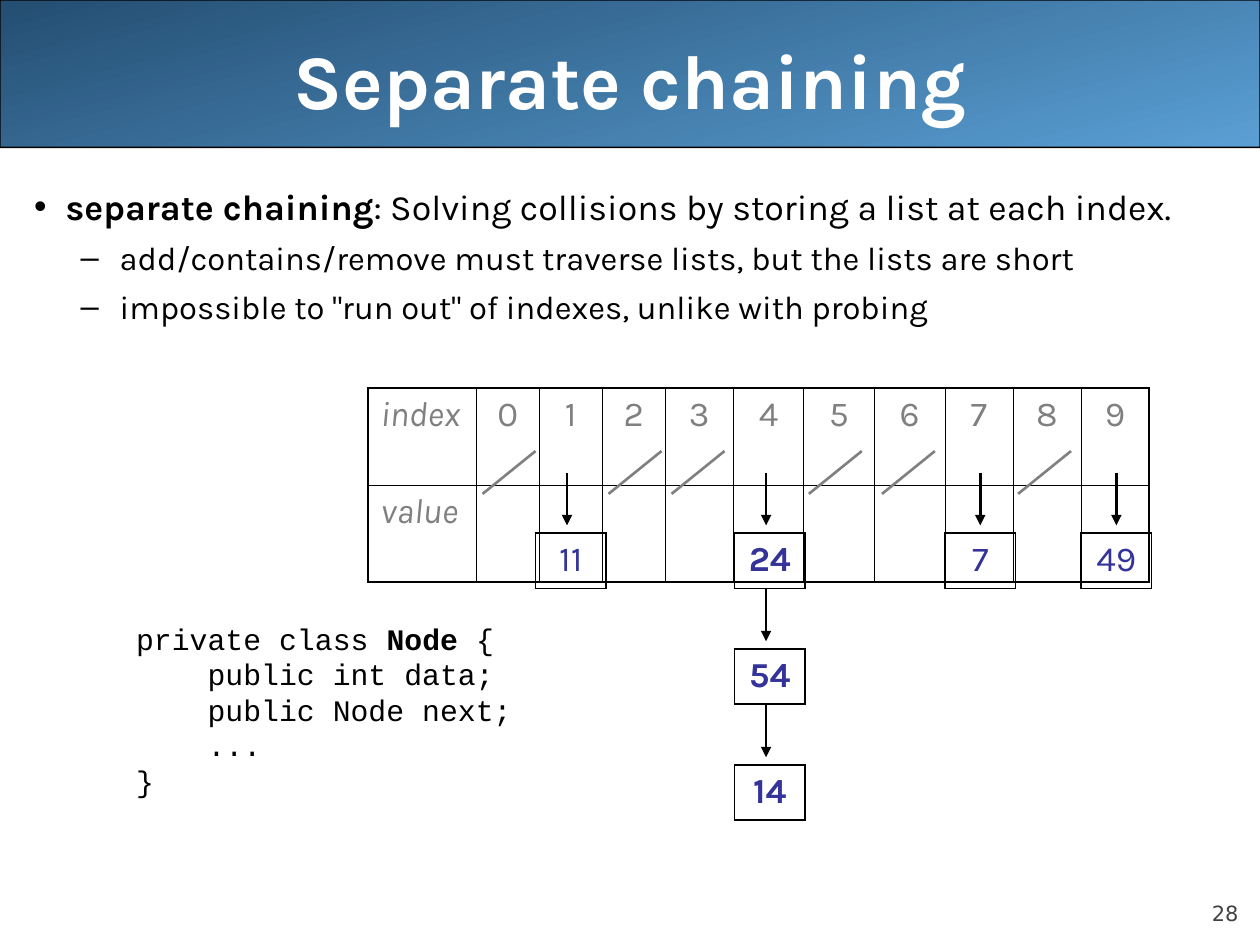
"""Build the slide on separate chaining in hash tables."""
from dataclasses import dataclass

import lxml.etree
import pptx
import pptx.dml.color
import pptx.enum.shapes
import pptx.enum.text
import pptx.oxml.ns
import pptx.util

Inches, Pt = pptx.util.Inches, pptx.util.Pt
Align, Anchor = pptx.enum.text.PP_ALIGN, pptx.enum.text.MSO_ANCHOR
Shape = pptx.enum.shapes.MSO_SHAPE
BLACK, GRAY, NAVY = "000000", "808080", "333399"
THIN, THICK = 0.45, 1.08


@dataclass
class Run:
    text: str
    bold: bool = False


@dataclass
class Item:
    runs: list[Run]
    level: int
    before: float


@dataclass
class Style:
    size: float
    left: float
    hang: float
    mark: str = ""
    face: str = "Karla"
    lead: float = 1.0


@dataclass
class Node:
    value: str
    left: float
    top: float
    shaft: float
    bold: bool = False


STYLES = [
    Style(20.4, 0.25, -0.25, "•"),
    Style(18.7, 0.68, -0.31, "–"),
    Style(17, 1, -0.19, face="Courier New", lead=0.7),
]
ITEMS = [
    Item([Run("separate chaining", True),
          Run(": Solving collisions by storing a list at each index.")], 0, 0),
    Item([Run("add/contains/remove must traverse lists, but the lists are short")], 1, 5.5),
    Item([Run('impossible to "run out" of indexes, unlike with probing')], 1, 5.5),
    Item([Run("private class "), Run("Node", True), Run(" {")], 2, 174),
    Item([Run("    public int data;")], 2, 6),
    Item([Run("    public Node next;")], 2, 6),
    Item([Run("    ...")], 2, 6),
    Item([Run("}")], 2, 6),
]
TOP, STEP = 4.23, 0.92
NODES = [
    Node("11", 4.25, TOP, 4.5),
    *(Node(text, 5.83, TOP + STEP * i, 6.08, True) for i, text in enumerate(["24", "54", "14"])),
    Node("7", 7.5, TOP, 7.78),
    Node("49", 8.58, TOP, 8.86),
]
WIDTHS = [0.86] + [0.5] * 3 + [0.54] + [0.56] * 3 + [0.54] * 3
SLASHES = [3.83, 4.83, 5.33, 6.42, 7, 8.08]


def paint(code: str) -> pptx.dml.color.RGBColor:
    return pptx.dml.color.RGBColor.from_string(code)


def child(parent, tag: str, **attrs: str):
    return lxml.etree.SubElement(parent, pptx.oxml.ns.qn(tag), attrs)


def write(para, text: str, size: float, color: str, face: str = "Karla",
          bold: bool = False, italic: bool = False) -> None:
    run = para.add_run()
    run.text = text
    font = run.font
    font.size, font.name, font.bold, font.italic = Pt(size), face, bold, italic
    font.color.rgb = paint(color)


def place(shape, left: float, top: float, width: float, height: float) -> None:
    shape.left, shape.top = Inches(left), Inches(top)
    shape.width, shape.height = Inches(width), Inches(height)


def add_band(slide) -> None:
    band = slide.shapes.add_shape(Shape.ROUNDED_RECTANGLE, 0, 0, Inches(10), Inches(1.17))
    band.adjustments[0] = 0.001
    band.shadow.inherit = False
    band.fill.gradient()
    band.fill.gradient_angle = 285
    for stop, code in zip(band.fill.gradient_stops, ["244E72", "5A9FD4"]):
        stop.color.rgb = paint(code)
    band.line.color.rgb = paint(BLACK)
    band.line.width = Pt(0.75)
    slide.shapes._spTree.insert(2, band._element)


def add_title(slide) -> None:
    title = slide.shapes.title
    place(title, 0.5, 0, 9, 1.25)
    frame = title.text_frame
    frame.auto_size = pptx.enum.text.MSO_AUTO_SIZE.NONE
    frame.vertical_anchor = Anchor.MIDDLE
    para = frame.paragraphs[0]
    para.alignment = Align.CENTER
    write(para, "Separate chaining", 44, "FFFFFF", bold=True)


def add_list(slide, items: list[Item]) -> None:
    body = slide.placeholders[1]
    place(body, 0.17, 1.42, 9.83, 5.67)
    frame = body.text_frame
    frame.auto_size = pptx.enum.text.MSO_AUTO_SIZE.NONE
    for i, item in enumerate(items):
        para = frame.add_paragraph() if i else frame.paragraphs[0]
        style = STYLES[item.level]
        para.level = item.level
        props = para._p.get_or_add_pPr()
        props.set("marL", str(Inches(style.left)))
        props.set("indent", str(Inches(style.hang)))
        if style.mark:
            child(child(props, "a:buClr"), "a:srgbClr", val=BLACK)
            child(props, "a:buChar", char=style.mark)
        else:
            child(props, "a:buNone")
        para.space_before = Pt(item.before)
        para.line_spacing = style.lead
        for run in item.runs:
            write(para, run.text, style.size, BLACK, style.face, run.bold)


def add_grid(slide, left: float, top: float, widths: list[float], height: float, rows: int):
    cols = len(widths)
    table = slide.shapes.add_table(rows, cols, Inches(left), Inches(top),
                                   Inches(sum(widths)), Inches(height * rows)).table
    table.first_row = table.horz_banding = False
    for col, width in zip(table.columns, widths):
        col.width = Inches(width)
    for r in range(rows):
        for c in range(cols):
            cell = table.cell(r, c)
            props = cell._tc.get_or_add_tcPr()
            edges = {"L": c == 0, "R": c == cols - 1, "T": r == 0, "B": r == rows - 1}
            for side, outer in edges.items():
                line = child(props, f"a:ln{side}", w=str(Pt(THICK if outer else THIN)))
                child(child(line, "a:solidFill"), "a:srgbClr", val=BLACK)
            cell.fill.background()
    return table


def add_line(slide, start: tuple[float, float], end: tuple[float, float],
             color: str, arrow: bool = False) -> None:
    line = slide.shapes.add_connector(pptx.enum.shapes.MSO_CONNECTOR.STRAIGHT,
                                      *map(Inches, start + end))
    line.line.color.rgb = paint(color)
    line.line.width = Pt(1.5)
    if arrow:
        child(line.line._get_or_add_ln(), "a:tailEnd", type="triangle")
    child(line._element.spPr, "a:effectLst")


def add_node(slide, node: Node) -> None:
    cell = add_grid(slide, node.left, node.top, [0.56], 0.44, 1).cell(0, 0)
    para = cell.text_frame.paragraphs[0]
    para.alignment = Align.CENTER
    write(para, node.value, 20, NAVY, bold=node.bold)
    add_line(slide, (node.shaft, node.top - 0.48), (node.shaft, node.top - 0.06), BLACK, True)


def add_count(slide) -> None:
    box = slide.shapes.add_textbox(Inches(9), Inches(6.95), Inches(0.83), Inches(0.4))
    frame = box.text_frame
    frame.word_wrap = True
    frame.vertical_anchor = Anchor.BOTTOM
    frame.margin_left = frame.margin_right = frame.margin_top = frame.margin_bottom = 0
    para = frame.paragraphs[0]
    para.alignment = Align.RIGHT
    write(para, "28", 12, "424242", "DejaVu Sans")


def main() -> None:
    deck = pptx.Presentation()
    deck.slide_width, deck.slide_height = Inches(10), Inches(7.5)
    slide = deck.slides.add_slide(deck.slide_layouts[1])
    add_band(slide)
    add_count(slide)
    add_title(slide)
    add_list(slide, ITEMS)
    table = add_grid(slide, 2.92, 3.08, WIDTHS, 0.77, 2)
    for r, text in enumerate(["index", "value"]):
        write(table.cell(r, 0).text_frame.paragraphs[0], text, 20, GRAY, italic=True)
    for i in range(10):
        para = table.cell(0, i + 1).text_frame.paragraphs[0]
        para.alignment = Align.CENTER
        write(para, str(i), 20, GRAY)
    for node in NODES:
        add_node(slide, node)
    for left in SLASHES:
        add_line(slide, (left + 0.42, 3.58), (left, 3.92), GRAY)
    deck.save("out.pptx")


if __name__ == "__main__":
    main()
